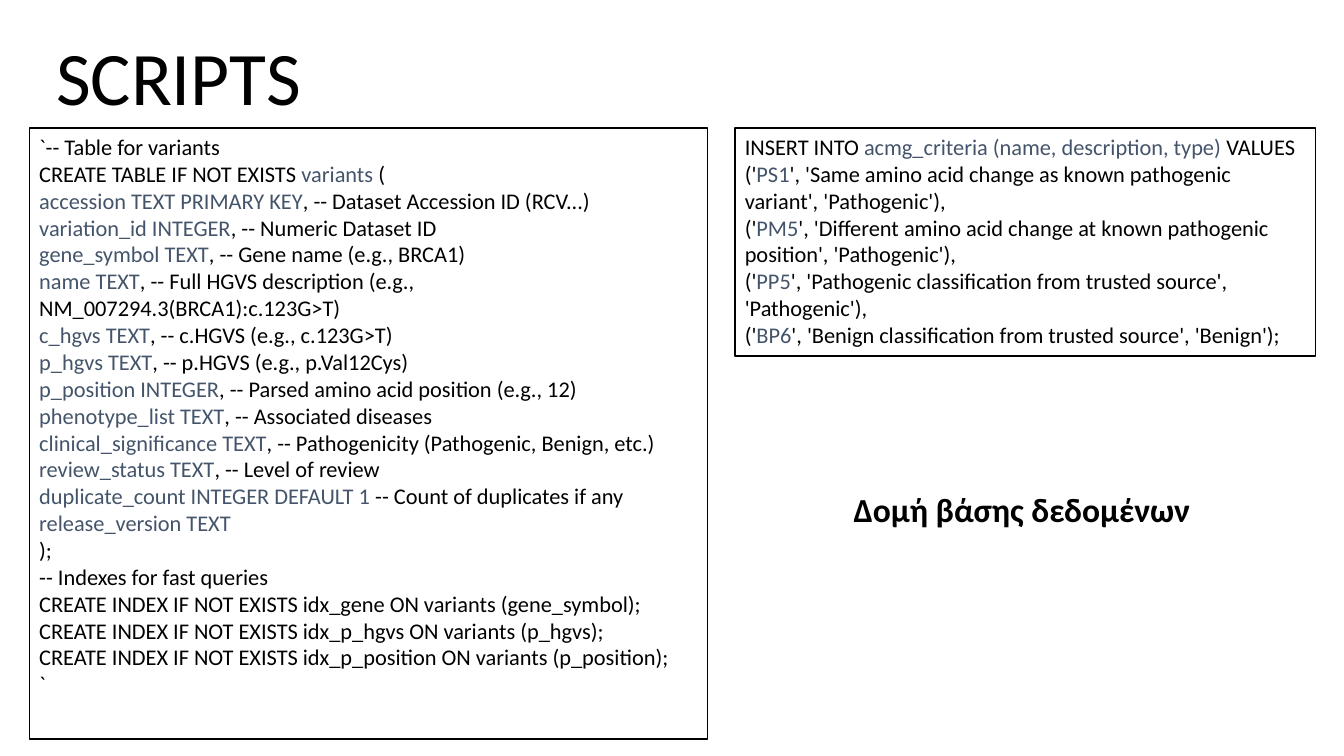
import pptx
import pptx.dml.color
import pptx.enum.shapes
import pptx.enum.text
import pptx.util
from pptx.util import Cm
from dataclasses import dataclass


@dataclass(frozen=True)
class Theme:
    font: str = "Calibri"
    text: str = "000000"
    accent: str = "44546A"
    background: str = "FFFFFF"
    title_size: int = 54
    caption_size: int = 24
    code_size: int = 16
    border_width: int = 1


theme = Theme()


def color(value):
    return pptx.dml.color.RGBColor.from_string(value)


def write_text(shape, paragraphs, size, bold=False, alignment=pptx.enum.text.PP_ALIGN.LEFT):
    frame = shape.text_frame
    for index, lines in enumerate(paragraphs):
        paragraph = frame.add_paragraph() if index else frame.paragraphs[0]
        paragraph.alignment = alignment
        paragraph.font.size = pptx.util.Pt(size)
        for line_number, line in enumerate(lines):
            if line_number:
                paragraph.add_line_break()
            for part_number, part in enumerate(line.split("|")):
                if part:
                    run = paragraph.add_run()
                    run.text = part
                    run.font.name = theme.font
                    run.font.size = pptx.util.Pt(size)
                    run.font.bold = bold
                    run.font.color.rgb = color(theme.accent if part_number % 2 else theme.text)


table_script = [
    [
        "`-- Table for variants",
        "CREATE TABLE IF NOT EXISTS |variants| (",
        "|accession TEXT PRIMARY KEY|, -- Dataset Accession ID (RCV...)",
        "|variation_id INTEGER|, -- Numeric Dataset ID",
        "|gene_symbol TEXT|, -- Gene name (e.g., BRCA1)",
        "|name TEXT|, -- Full HGVS description (e.g., NM_007294.3(BRCA1):c.123G>T)",
        "|c_hgvs TEXT|, -- c.HGVS (e.g., c.123G>T)",
        "|p_hgvs TEXT|, -- p.HGVS (e.g., p.Val12Cys)",
        "|p_position INTEGER|, -- Parsed amino acid position (e.g., 12)",
        "|phenotype_list TEXT|, -- Associated diseases",
        "|clinical_significance TEXT|, -- Pathogenicity (Pathogenic, Benign, etc.)",
        "|review_status TEXT|, -- Level of review",
        "|duplicate_count INTEGER DEFAULT 1 |-- Count of duplicates if any",
        "|release_version TEXT|",
        ");",
    ],
    [
        "-- Indexes for fast queries",
        "CREATE INDEX IF NOT EXISTS idx_gene ON variants (gene_symbol);",
        "CREATE INDEX IF NOT EXISTS idx_p_hgvs ON variants (p_hgvs);",
        "CREATE INDEX IF NOT EXISTS idx_p_position ON variants (p_position);",
        "`",
    ],
]
criteria_script = [
    ["INSERT INTO |acmg_criteria (name, description, type) |VALUES"],
    ["('|PS1|', 'Same amino acid change as known pathogenic variant', 'Pathogenic'),"],
    ["('|PM5|', 'Different amino acid change at known pathogenic position', 'Pathogenic'),"],
    ["('|PP5|', 'Pathogenic classification from trusted source', 'Pathogenic'),"],
    ["('|BP6|', 'Benign classification from trusted source', 'Benign');"],
]

presentation = pptx.Presentation()
presentation.slide_width = Cm(33.87)
presentation.slide_height = Cm(19.05)
slide = presentation.slides.add_slide(presentation.slide_layouts[6])

title = slide.shapes.add_textbox(Cm(1.12), Cm(0.64), Cm(6.76), Cm(2.57))
title.text_frame.word_wrap = False
write_text(title, [["SCRIPTS"]], theme.title_size, alignment=pptx.enum.text.PP_ALIGN.CENTER)

script_top = Cm(3.23)
for left, width, height, script in (
    (Cm(0.74), Cm(17.09), Cm(15.39), table_script),
    (Cm(18.52), Cm(14.63), Cm(5.74), criteria_script),
):
    panel = slide.shapes.add_shape(
        pptx.enum.shapes.MSO_SHAPE.RECTANGLE, left, script_top, width, height
    )
    panel.shadow.inherit = False
    panel.fill.solid()
    panel.fill.fore_color.rgb = color(theme.background)
    panel.line.color.rgb = color(theme.text)
    panel.line.width = pptx.util.Pt(theme.border_width)
    panel.text_frame.word_wrap = True
    panel.text_frame.vertical_anchor = pptx.enum.text.MSO_ANCHOR.TOP
    write_text(panel, script, theme.code_size)

caption = slide.shapes.add_textbox(Cm(21.26), Cm(12.19), Cm(9.17), Cm(1.27))
caption.text_frame.word_wrap = True
write_text(caption, [["Δομή βάσης δεδομένων"]], theme.caption_size, bold=True)

presentation.save("out.pptx")
